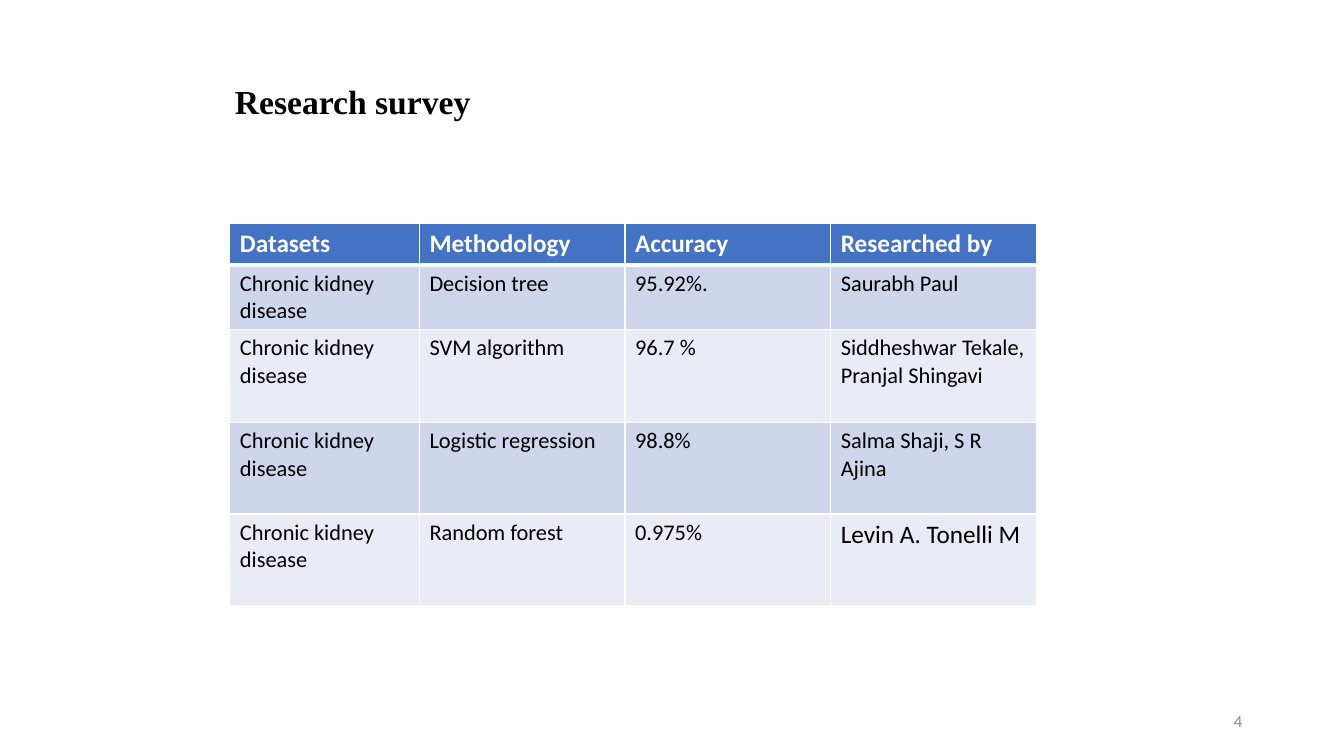
"""Build the research survey slide: a title, a table of results and a page number."""
from lxml import etree
from pptx import Presentation
from pptx.dml.color import RGBColor
from pptx.enum.text import MSO_ANCHOR, MSO_AUTO_SIZE, PP_ALIGN
from pptx.oxml.ns import qn
from pptx.util import Inches, Pt

LEFT, RIGHT = PP_ALIGN.LEFT, PP_ALIGN.RIGHT
MIDDLE = MSO_ANCHOR.MIDDLE
NO_FIT = MSO_AUTO_SIZE.NONE
TITLE_ONLY = 5
HEADER_FILL, BANDS = "4472C4", ("CFD5EA", "E9EBF5")
WHITE, BLACK, GREY = "FFFFFF", "000000", "8C8C8C"

COLUMN_WIDTHS = (1.88, 2.04, 2.04, 2.04)
ROW_HEIGHTS = (0.4, 0.64, 0.92, 0.91, 0.91)
DISEASE = "Chronic kidney disease"
SURVEY = (
    ("Datasets", "Methodology", "Accuracy", "Researched by"),
    (DISEASE, "Decision tree", "95.92%.", "Saurabh Paul"),
    (DISEASE, "SVM algorithm", "96.7 %", "Siddheshwar Tekale, Pranjal Shingavi"),
    (DISEASE, "Logistic regression", "98.8%", "Salma Shaji, S R Ajina"),
    (DISEASE, "Random forest", "0.975%", "Levin A. Tonelli M"),
)


def write(frame, text, size=16, color=BLACK, bold=False, font="Calibri", align=LEFT):
    """Put one formatted paragraph into a text frame and return it."""
    para = frame.paragraphs[0]
    para.alignment = align
    span = para.add_run()
    span.text = text
    span.font.name = font
    span.font.size = Pt(size)
    span.font.bold = bold
    span.font.color.rgb = RGBColor.from_string(color)
    return para


def add_borders(cell, bottom):
    """Draw white lines around a cell, with its own bottom width in points."""
    properties = cell._tc.get_or_add_tcPr()
    sides = (("a:lnL", 1), ("a:lnR", 1), ("a:lnT", 1), ("a:lnB", bottom))
    for position, (side, width) in enumerate(sides):
        line = etree.Element(qn(side), w=str(Pt(width)))
        fill = etree.SubElement(line, qn("a:solidFill"))
        etree.SubElement(fill, qn("a:srgbClr"), val=WHITE)
        properties.insert(position, line)


deck = Presentation()
deck.slide_width, deck.slide_height = Inches(13.33), Inches(7.5)
page = deck.slides.add_slide(deck.slide_layouts[TITLE_ONLY])

title = page.shapes.title
title.left, title.top = Inches(2.23), Inches(0.19)
title.width, title.height = Inches(6.81), Inches(1.6)
title.text_frame.auto_size = NO_FIT
title.text_frame.vertical_anchor = MIDDLE
heading = write(title.text_frame, "Research survey", size=24, bold=True, font="Times New Roman")
heading.line_spacing = 1.07
heading.space_after = Pt(4.5)

table = page.shapes.add_table(
    len(SURVEY), len(COLUMN_WIDTHS), Inches(2.28), Inches(2.22),
    Inches(sum(COLUMN_WIDTHS)), Inches(sum(ROW_HEIGHTS)),
).table
for column, width in zip(table.columns, COLUMN_WIDTHS):
    column.width = Inches(width)
for row, height in zip(table.rows, ROW_HEIGHTS):
    row.height = Inches(height)

last = (len(SURVEY) - 1, len(COLUMN_WIDTHS) - 1)
for row_index, entries in enumerate(SURVEY):
    header = row_index == 0
    fill = HEADER_FILL if header else BANDS[(row_index - 1) % 2]
    for column_index, entry in enumerate(entries):
        cell = table.cell(row_index, column_index)
        cell.fill.solid()
        cell.fill.fore_color.rgb = RGBColor.from_string(fill)
        add_borders(cell, bottom=3 if header else 1)
        large = header or (row_index, column_index) == last
        write(cell.text_frame, entry, size=18 if large else 16,
              color=WHITE if header else BLACK, bold=header)

number = page.shapes.add_textbox(Inches(9.42), Inches(6.95), Inches(3), Inches(0.4))
number.text_frame.word_wrap = True
number.text_frame.vertical_anchor = MIDDLE
write(number.text_frame, "4", size=12, color=GREY, align=RIGHT)

deck.save("out.pptx")
